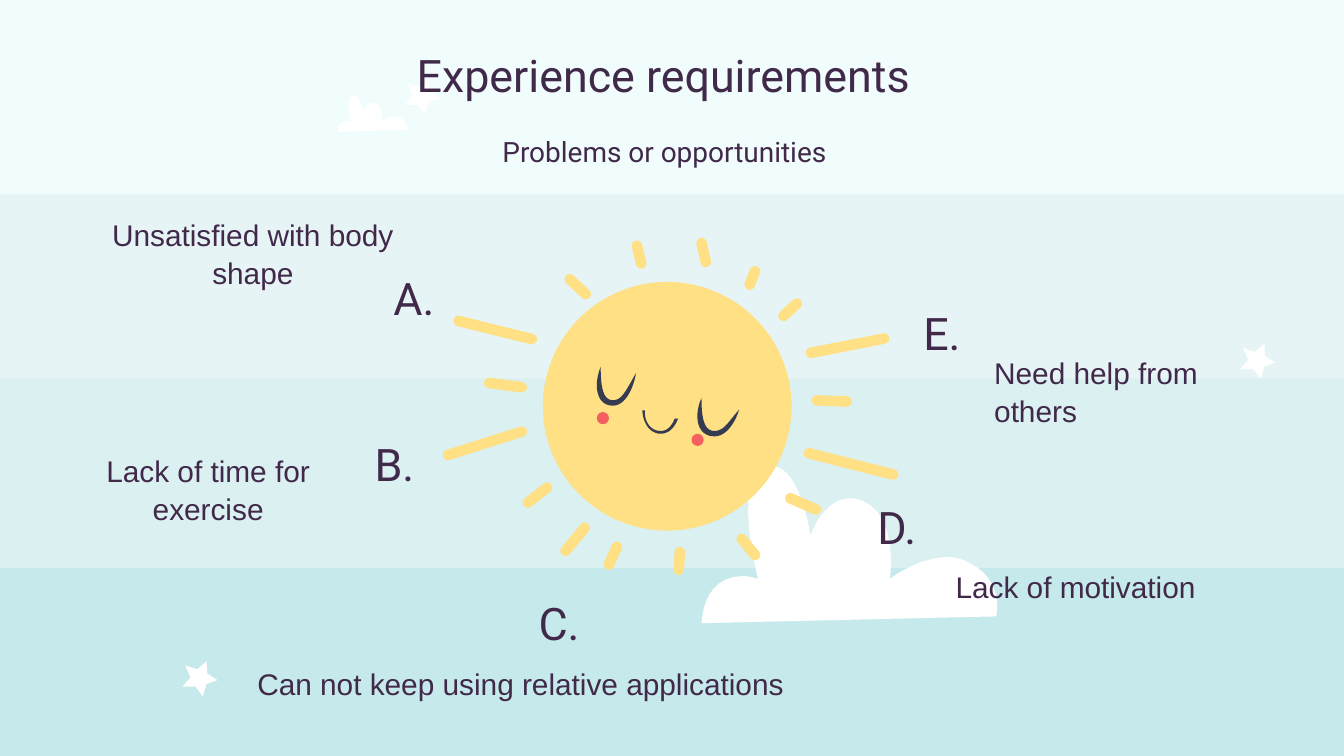
from math import atan2, cos, pi, sin

from pptx import Presentation
from pptx.dml.color import RGBColor
from pptx.enum.shapes import MSO_SHAPE
from pptx.enum.text import MSO_ANCHOR, PP_ALIGN
from pptx.util import Cm, Pt

WHITE, YELLOW, NAVY, RED, PLUM = "FFFFFF", "FFE084", "353B51", "F46060", "41294A"
LEFT, CENTER, RIGHT = PP_ALIGN.LEFT, PP_ALIGN.CENTER, PP_ALIGN.RIGHT
TOP, MIDDLE, BOTTOM = MSO_ANCHOR.TOP, MSO_ANCHOR.MIDDLE, MSO_ANCHOR.BOTTOM

# Outlines in percent of their box; a segment is (end) or (control, control, end)
STAR = [(69, 0), (71, 35), (100, 54), (69, 65), (58, 100),
        (38, 73), (0, 73), (23, 46), (8, 12), (42, 23)]
CLOUD = [
    [(23, 0)], [(22, 0), (21.7, 0), (21.2, 1)],
    [(9.7, 7.7), (18.6, 71.8), (18.6, 71.8)],
    [(16.8, 70.9), (15, 70), (13.7, 70)],
    [(0, 70), (0, 100), (0, 100)], [(97, 95.7)],
    [(97, 95.7), (100, 72.6), (88, 61.5)],
    [(85.8, 59), (83.2, 58), (81, 58)],
    [(71.2, 58), (62, 71.8), (62, 71.8)],
    [(62, 71.8), (65, 31.6), (53, 22.2)],
    [(51.8, 21.4), (50.4, 20.5), (49, 20.5)],
    [(39.8, 20.5), (35.8, 44.4), (35.8, 44.4)],
    [(35.8, 44.4), (32.7, 0), (23, 0)],
]
SMILE = [
    [(0, 6)], [(2, 65), (25, 100), (50, 100)],
    [(75, 100), (90, 70), (98, 39)], [(89, 39)],
    [(80, 70), (68, 89), (50, 89)], [(25, 89), (5, 55), (7, 6)],
]

# Ray ends: x1, y1, x2, y2 in cm from the top left of the sun's disc
RAYS = [
    (4.8, 0.41, 4.55, 0.64), (5.07, 1.34, 6.45, 1.07), (5.18, 2.24, 5.74, 2.26),
    (5.03, 3.24, 6.62, 3.64), (4.68, 4.09, 5.16, 4.3), (3.76, 4.86, 4.01, 5.16),
    (2.59, 5.11, 2.57, 5.44), (4.01, -0.2, 3.91, 0.05), (3, -0.73, 3.08, -0.38),
    (1.78, -0.68, 1.86, -0.35), (0.51, -0.05, 0.81, 0.23), (-1.59, 0.74, -0.21, 1.08),
    (-1.01, 1.91, -0.4, 1.99), (-1.79, 3.27, -0.4, 2.83), (0.08, 3.89, -0.28, 4.17),
    (0.79, 4.65, 0.43, 5.08), (1.4, 5.01, 1.25, 5.34),
]

# Letter box with alignment, then description box with alignment, anchor, indent
ITEMS = [
    ("A.", (2.57, 5.11, 5.89, 1.02), RIGHT, "Unsatisfied with body shape",
     (0.36, 4.09, 7.57, 1.65), CENTER, BOTTOM, 1.27),
    ("B.", (6.15, 8.26, 1.93, 1.02), RIGHT, "Lack of time for exercise",
     (-0.18, 8.28, 6.96, 1.65), CENTER, TOP, 1.27),
    ("C.", (9.93, 11.25, 1.63, 1.02), LEFT, "Can not keep using relative applications",
     (2.31, 12.37, 13.79, 1.14), CENTER, BOTTOM, 1.27),
    ("D.", (16.33, 9.45, 5.89, 1.02), LEFT, "Lack of motivation",
     (17.81, 10.46, 5.89, 1.02), LEFT, TOP, 0),
    ("E.", (17.2, 5.77, 1.93, 1.02), LEFT, "Need help from others",
     (18.54, 6.43, 5.89, 1.02), LEFT, TOP, 0),
]


def color(value):
    return RGBColor.from_string(value)


def paint(shape, fill):
    shape.shadow.inherit = False
    shape.fill.solid()
    shape.fill.fore_color.rgb = color(fill)
    shape.line.fill.background()


def add_preset(page, kind, box, fill):
    paint(page.shapes.add_shape(kind, *map(Cm, box)), fill)


def add_polygon(page, points, fill):
    points = [(Cm(x), Cm(y)) for x, y in points]
    builder = page.shapes.build_freeform(*points[0], scale=1.0)
    builder.add_line_segments(points[1:], close=True)
    paint(builder.convert_to_shape(), fill)


def flatten(segments, steps=12):
    """Turn lines and cubic curves into a list of points."""
    points = []
    for segment in segments:
        if len(segment) == 1:
            points.append(segment[0])
            continue
        corners = [points[-1], *segment]
        for step in range(1, steps + 1):
            t = step / steps
            weights = ((1 - t) ** 3, 3 * t * (1 - t) ** 2, 3 * t * t * (1 - t), t ** 3)
            points.append(tuple(sum(w * c[axis] for w, c in zip(weights, corners))
                                for axis in (0, 1)))
    return points


def add_outline(page, box, points, fill):
    left, top, width, height = box
    add_polygon(page, [(left + x * width / 100, top + y * height / 100)
                       for x, y in points], fill)


def add_ray(page, x1, y1, x2, y2, radius=0.1, steps=8):
    angle = atan2(y2 - y1, x2 - x1)
    points = []
    for x, y, start in ((x1, y1, angle + pi / 2), (x2, y2, angle - pi / 2)):
        turns = [start + pi * step / steps for step in range(steps + 1)]
        points += [(x + radius * cos(turn), y + radius * sin(turn)) for turn in turns]
    add_polygon(page, points, YELLOW)


def add_eye(page, box, tip):
    """Closed eye whose right tip lies at the given percent of the height."""
    lid = [[(10, 0)], [(-10, 50), (0, 100), (41, 100)],
           [(75, 100), (95, 50), (100, tip)],
           [(75, 60), (65, 86), (41, 86)], [(15, 86), (10, 50), (10, 0)]]
    add_outline(page, box, flatten(lid), NAVY)


def add_label(page, box, text, size, font, align, anchor=TOP, indent=0, spacing=1.0):
    frame = page.shapes.add_textbox(*map(Cm, box)).text_frame
    frame.word_wrap = True
    frame.vertical_anchor = anchor
    frame.margin_top = frame.margin_bottom = frame.margin_right = Cm(0.25)
    frame.margin_left = Cm(0.25 + indent)
    para = frame.paragraphs[0]
    para.text = text
    para.alignment = align
    para.line_spacing = spacing
    para.font.size = Pt(size)
    para.font.name = font
    para.font.color.rgb = color(PLUM)


def add_sky(page):
    page.background.fill.solid()
    page.background.fill.fore_color.rgb = color("E7F4F5")
    for top, height, fill in ((7.16, 3.66, "DBF0F1"), (10.74, 3.66, "C6EAEB"),
                              (-0.08, 3.76, "F1FCFC")):
        add_preset(page, MSO_SHAPE.RECTANGLE, (-0.03, top, 25.58, height), fill)
    for left, top in ((3.45, 12.5), (23.44, 6.5), (7.65, 1.5)):
        add_outline(page, (left, top, 0.66, 0.66), STAR, WHITE)
    for box in ((13.26, 8.81, 5.74, 2.97), (6.38, 1.8, 1.35, 0.69)):
        add_outline(page, box, flatten(CLOUD), WHITE)


def add_sun(page, box):
    left, top, _, _ = box
    add_preset(page, MSO_SHAPE.OVAL, box, YELLOW)
    for x1, y1, x2, y2 in RAYS:
        add_ray(page, left + x1, top + y1, left + x2, top + y2)
    # Face
    add_eye(page, (left + 1.02, top + 1.6, 0.74, 0.74), 17)
    add_eye(page, (left + 2.92, top + 2.19, 0.79, 0.73), 31)
    for x, y in ((2.81, 2.87), (1.02, 2.46)):
        add_preset(page, MSO_SHAPE.OVAL, (left + x, top + y, 0.23, 0.23), RED)
    add_outline(page, (left + 1.88, top + 2.4, 0.69, 0.47), flatten(SMILE), NAVY)


def add_heading(page, box):
    left, top, width, height = box
    add_label(page, box, "Experience requirements", 24, "Roboto", CENTER)
    add_label(page, (left + 4.8, top + 1.63, 8.86, 1.42),
              "Problems or opportunities", 15, "Roboto", CENTER)


def add_item(page, letter, letter_box, letter_align, text, box, align, anchor, indent):
    add_label(page, letter_box, letter, 24, "Roboto", letter_align, MIDDLE)
    add_label(page, box, text, 16, "Arial", align, anchor, indent, 1.05)


def main():
    deck = Presentation()
    deck.slide_width, deck.slide_height = Cm(25.4), Cm(14.29)
    page = deck.slides.add_slide(deck.slide_layouts[6])
    add_sky(page)
    add_sun(page, (10.26, 5.33, 4.7, 4.7))
    add_heading(page, (3.33, 0.66, 18.41, 1.14))
    for item in ITEMS:
        add_item(page, *item)
    deck.save("out.pptx")


if __name__ == "__main__":
    main()
